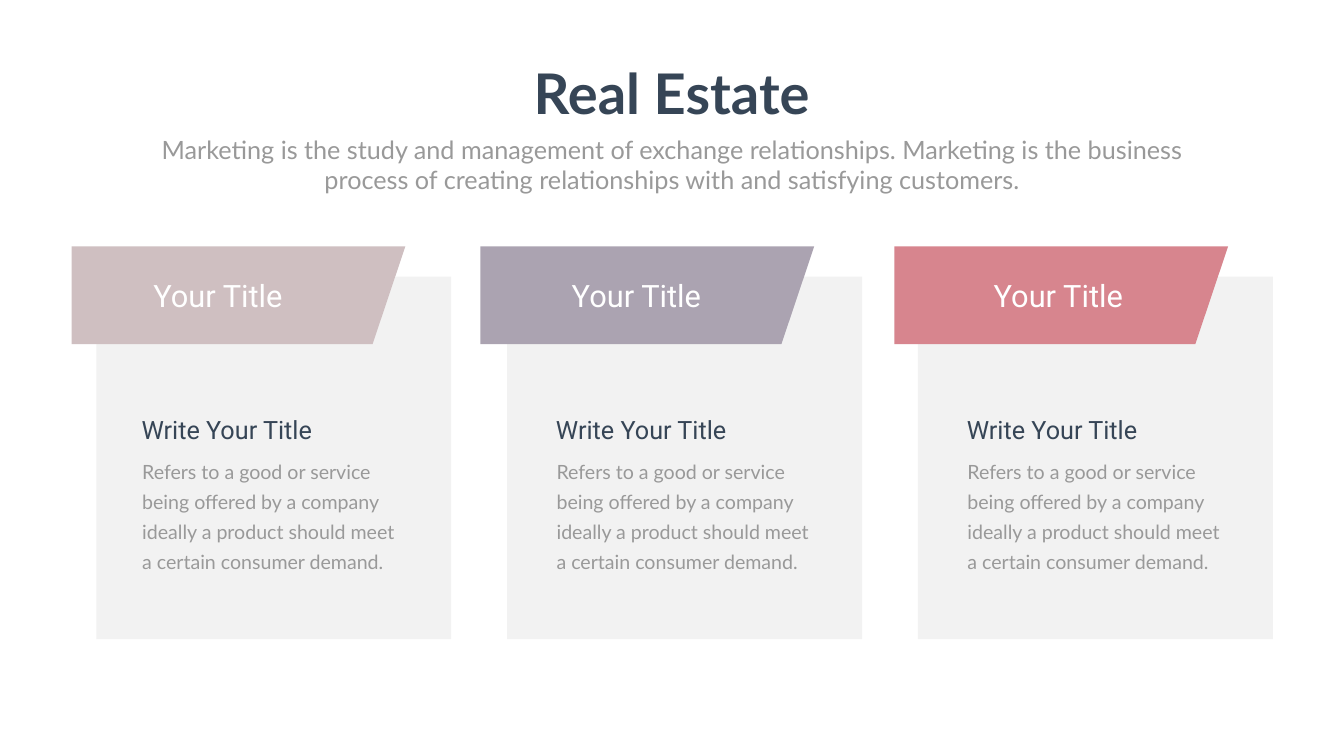
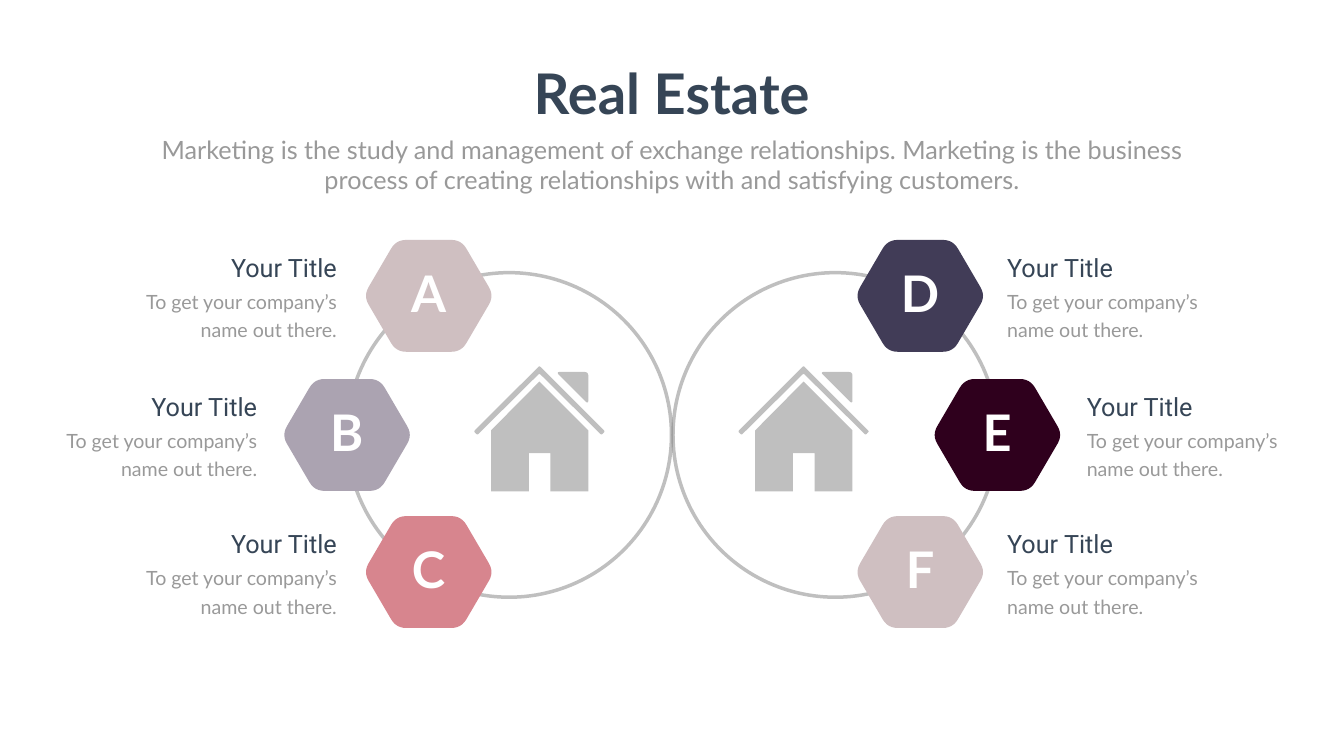
from pptx import Presentation
from pptx.dml.color import RGBColor
from pptx.enum.shapes import MSO_SHAPE
from pptx.enum.text import MSO_ANCHOR, MSO_AUTO_SIZE, PP_ALIGN
from pptx.oxml.ns import qn
from pptx.util import Emu, Pt
from lxml.etree import SubElement

SCALE = 9144  # EMU in one px, 100 px to the inch
NAVY, GRAY, SHADE, WHITE = "364556", "999999", "808080", "FFFFFF"
ROSE, LILAC, CORAL, INDIGO, PLUM = "CFBFC1", "ABA3B1", "D7858E", "413C57", "2F001D"
LATO, ROBOTO = "Lato", "Roboto"
LEFT, CENTER, RIGHT = PP_ALIGN.LEFT, PP_ALIGN.CENTER, PP_ALIGN.RIGHT

HEXAGON = [(61, 0), (190, 0), (255, 111), (190, 222), (61, 222), (-4, 111)]
TAB = [(0, 0), (662, 0), (597, 194), (0, 194)]
HOUSE_WALLS = [(33, 127), (33, 248), (108, 248), (108, 172), (151, 172),
               (151, 248), (226, 248), (226, 127), (129, 30)]
HOUSE_ROOF = [(-1, 129), (129, -1), (259, 129), (252, 136), (129, 14), (6, 136)]
HOUSE_CHIMNEY = [(162, 11), (226, 11), (226, 75)]

SUBTITLE = ("Marketing is the study and management of exchange relationships. "
            "Marketing is the business process of creating relationships with "
            "and satisfying customers.")
CARD_TEXT = ("Refers to a good or service being offered by a company ideally "
             "a product should meet a certain consumer demand.")
ITEM_TEXT = "To get your company’s name out there."


def px(length):
    return Emu(round(length * SCALE))


def rgb(color):
    return RGBColor.from_string(color)


def set_opacity(shape, percent):
    """Apply one opacity to every colour of the shape's fill and line."""
    for color in shape.element.spPr.iter(qn("a:srgbClr")):
        SubElement(color, qn("a:alpha")).set("val", str(percent * 1000))


def write(shape, text, size, font, color, align=LEFT, bold=False, spacing=None,
          wrap=True, inset=(10, 5)):
    frame = shape.text_frame
    frame.text = text
    frame.word_wrap = wrap
    frame.auto_size = MSO_AUTO_SIZE.SHAPE_TO_FIT_TEXT
    frame.vertical_anchor = MSO_ANCHOR.TOP
    frame.margin_left = frame.margin_right = px(inset[0])
    frame.margin_top = frame.margin_bottom = px(inset[1])
    paragraph = frame.paragraphs[0]
    paragraph.alignment = align
    paragraph.space_before = Pt(0)
    if spacing:
        paragraph.line_spacing = Pt(spacing)
    run_font = paragraph.runs[0].font
    run_font.size, run_font.name, run_font.bold = Pt(size), font, bold
    run_font.color.rgb = rgb(color)


def add_text(slide, box, text, *style, **options):
    write(slide.shapes.add_textbox(*map(px, box)), text, *style, **options)


def round_corners(points, cut):
    """Replace each corner by a short sampled curve starting cut px before it."""
    def toward(corner, other):
        length = ((other[0] - corner[0]) ** 2 + (other[1] - corner[1]) ** 2) ** 0.5
        return [c + (o - c) * cut / length for c, o in zip(corner, other)]

    rounded = []
    for index, corner in enumerate(points):
        start = toward(corner, points[index - 1])
        end = toward(corner, points[(index + 1) % len(points)])
        for step in range(7):
            t = step / 6
            rounded.append([(1 - t) ** 2 * s + 2 * t * (1 - t) * c + t * t * e
                            for s, c, e in zip(start, corner, end)])
    return rounded


def add_outline(slide, left, top, points, color, cut=0, opacity=None):
    if cut:
        points = round_corners(points, cut)
    points = [(px(x), px(y)) for x, y in points]
    builder = slide.shapes.build_freeform(*points[0])
    builder.add_line_segments(points[1:], close=True)
    shape = builder.convert_to_shape(px(left), px(top))
    shape.shadow.inherit = False
    shape.fill.solid()
    shape.fill.fore_color.rgb = rgb(color)
    shape.line.fill.background()
    if opacity:
        set_opacity(shape, opacity)


def add_headed_slide(presentation):
    slide = presentation.slides.add_slide(presentation.slide_layouts[0])
    title, subtitle = slide.placeholders
    for shape, box in ((title, (1041, 112, 583, 145)),
                       (subtitle, (292, 261, 2082, 131))):
        shape.left, shape.top, shape.width, shape.height = map(px, box)
    write(title, "Real Estate", 80, LATO, NAVY, CENTER, bold=True, wrap=False)
    write(subtitle, SUBTITLE, 36, LATO, GRAY, CENTER)
    return slide


def add_card(slide, left, top, color, tab_shift, label_shift, text_shift):
    panel = [(0, 0), (704, 0), (704, 719), (0, 719)]
    add_outline(slide, left, top, panel, SHADE, opacity=10)
    add_outline(slide, left + tab_shift, top - 60, TAB, color)
    add_text(slide, (left + label_shift, top - 5, 427, 84), "Your Title",
             44, ROBOTO, WHITE, CENTER)
    add_text(slide, (left + text_shift, top + 268, 382, 71), "Write Your Title",
             36, ROBOTO, NAVY)
    add_text(slide, (left + text_shift - 13, top + 338, 572, 260), CARD_TEXT,
             28, LATO, GRAY, spacing=43, inset=(24, 12))


def add_ring(slide, left, top, diameter):
    ring = slide.shapes.add_shape(MSO_SHAPE.OVAL, *map(px, (left, top, diameter, diameter)))
    ring.shadow.inherit = False
    ring.fill.background()
    ring.line.color.rgb = rgb(SHADE)
    ring.line.width = Pt(5)
    set_opacity(ring, 50)


def add_house(slide, left, top):
    for points, cut in ((HOUSE_CHIMNEY, 8), (HOUSE_WALLS, 0), (HOUSE_ROOF, 3)):
        add_outline(slide, left, top, points, SHADE, cut, opacity=50)


def add_lettered_item(slide, left, top, text_left, letter, color):
    align = RIGHT if text_left < left else LEFT
    add_outline(slide, left, top, HEXAGON, color, cut=20)
    add_text(slide, (left + 59, top + 39, 132, 131), letter,
             72, LATO, WHITE, CENTER, bold=True)
    add_text(slide, (text_left, top + 19, 423, 71), "Your Title",
             36, ROBOTO, NAVY, align)
    add_text(slide, (text_left, top + 84, 423, 119), ITEM_TEXT,
             28, LATO, GRAY, align, spacing=40.8)


def build_cards_slide(presentation):
    slide = add_headed_slide(presentation)
    cards = [(ROSE, -49, 28, 80), (LILAC, -53, 43, 87), (CORAL, -47, 65, 87)]
    for index, card in enumerate(cards):
        add_card(slide, 191 + 815 * index, 549, *card)


def build_rings_slide(presentation):
    slide = add_headed_slide(presentation)
    for ring_left, house_left in ((688, 941), (1335, 1465)):
        add_ring(slide, ring_left, 541, 644)
        add_house(slide, house_left, 727)
    items = [
        (725, 476, 255, "A", ROSE),
        (563, 752, 97, "B", LILAC),
        (725, 1024, 255, "C", CORAL),
        (1700, 476, 1988, "D", INDIGO),
        (1853, 752, 2146, "E", PLUM),
        (1700, 1024, 1988, "F", ROSE),
    ]
    for item in items:
        add_lettered_item(slide, *item)


def main():
    presentation = Presentation()
    presentation.slide_width, presentation.slide_height = px(2666), px(1500)
    build_cards_slide(presentation)
    build_rings_slide(presentation)
    presentation.save("out.pptx")


if __name__ == "__main__":
    main()
